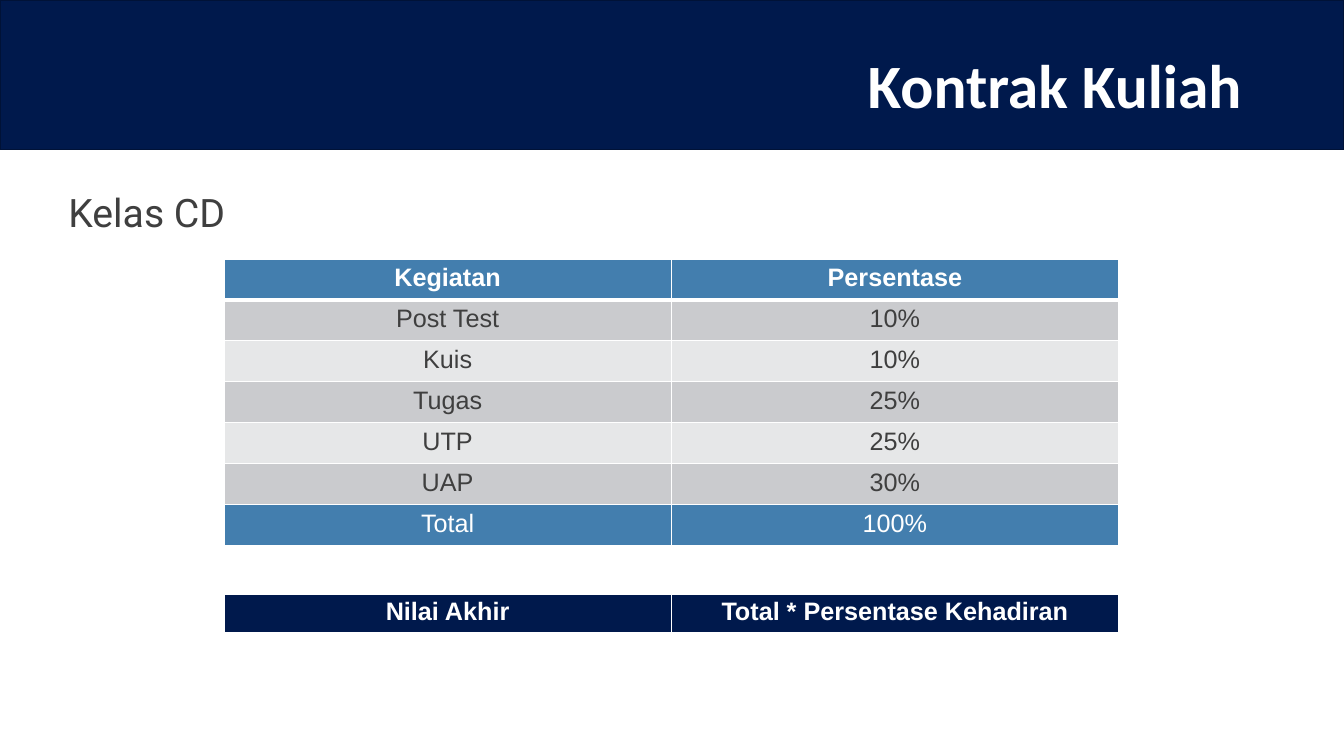
from dataclasses import dataclass

from lxml.etree import SubElement
from pptx import Presentation
from pptx.dml.color import RGBColor
from pptx.enum.shapes import MSO_SHAPE
from pptx.enum.text import MSO_ANCHOR, PP_ALIGN
from pptx.oxml.ns import qn
from pptx.slide import Slide
from pptx.table import _Cell
from pptx.text.text import _Paragraph
from pptx.util import Pt

NAVY = RGBColor(0x00, 0x19, 0x4C)
NAVY_EDGE = RGBColor(0x00, 0x12, 0x37)
BLUE = RGBColor(0x43, 0x7E, 0xAE)
DARK_BAND = RGBColor(0xCA, 0xCB, 0xCE)
LIGHT_BAND = RGBColor(0xE6, 0xE7, 0xE8)
WHITE = RGBColor(0xFF, 0xFF, 0xFF)
INK = RGBColor(0x3F, 0x3F, 0x3F)

SLIDE_WIDTH, SLIDE_HEIGHT = 960, 540
TABLE_LEFT, COLUMN_WIDTH, ROW_HEIGHT = 160, 319.5, 29.2


@dataclass(frozen=True)
class TextStyle:
    font: str
    size: float
    color: RGBColor
    bold: bool = False


@dataclass(frozen=True)
class Label:
    text: str
    left: float
    top: float
    width: float
    height: float
    style: TextStyle
    align: PP_ALIGN = PP_ALIGN.LEFT
    anchor: MSO_ANCHOR = MSO_ANCHOR.TOP
    bottom_inset: float = 3.6


@dataclass(frozen=True)
class Row:
    activity: str
    share: str
    fill: RGBColor
    style: TextStyle
    top_border: float = 1
    bottom_border: float = 1


HEADING = TextStyle("Arial", 18, WHITE, bold=True)
BODY = TextStyle("Arial", 18, INK)
TOTAL = TextStyle("Arial", 18, WHITE)

LABELS = [
    Label("Kontrak Kuliah", 41, 16.5, 853.2, 90.5, TextStyle("Calibri", 44, WHITE, bold=True),
          PP_ALIGN.RIGHT, MSO_ANCHOR.MIDDLE, bottom_inset=0),
    Label("Kelas CD", 41.8, 134.6, 532, 65.5, TextStyle("Roboto", 28, INK)),
]

ACTIVITIES = [("Post Test", "10%"), ("Kuis", "10%"), ("Tugas", "25%"),
              ("UTP", "25%"), ("UAP", "30%")]

GRADING = [
    Row("Kegiatan", "Persentase", BLUE, HEADING, bottom_border=3),
    *(Row(activity, share, LIGHT_BAND if i % 2 else DARK_BAND, BODY,
          top_border=1 if i else 3)
      for i, (activity, share) in enumerate(ACTIVITIES)),
    Row("Total", "100%", BLUE, TOTAL),
]
FINAL_GRADE = [Row("Nilai Akhir", "Total * Persentase Kehadiran", NAVY, HEADING, 3, 3)]


def add_styled_run(paragraph: _Paragraph, text: str, style: TextStyle) -> None:
    run = paragraph.add_run()
    run.text = text
    run.font.name = style.font
    run.font.size = Pt(style.size)
    run.font.bold = style.bold
    run.font.color.rgb = style.color


def add_label(slide: Slide, label: Label) -> None:
    box = slide.shapes.add_textbox(Pt(label.left), Pt(label.top), Pt(label.width), Pt(label.height))
    frame = box.text_frame
    frame.word_wrap = True
    frame.vertical_anchor = label.anchor
    frame.margin_bottom = Pt(label.bottom_inset)
    paragraph = frame.paragraphs[0]
    paragraph.alignment = label.align
    paragraph.line_spacing = 0.9
    add_styled_run(paragraph, label.text, label.style)


def add_borders(cell: _Cell, top: float, bottom: float) -> None:
    properties = cell._tc.get_or_add_tcPr()
    for side, width in (("L", 1), ("R", 1), ("T", top), ("B", bottom)):
        line = SubElement(properties, qn(f"a:ln{side}"), w=str(Pt(width)))
        SubElement(SubElement(line, qn("a:solidFill")), qn("a:srgbClr"), val=str(WHITE))


def add_grade_table(slide: Slide, rows: list[Row], top: float) -> None:
    table = slide.shapes.add_table(len(rows), 2, Pt(TABLE_LEFT), Pt(top),
                                   Pt(2 * COLUMN_WIDTH), Pt(ROW_HEIGHT * len(rows))).table
    for column in table.columns:
        column.width = Pt(COLUMN_WIDTH)
    for row_index, row in enumerate(rows):
        table.rows[row_index].height = Pt(ROW_HEIGHT)
        for column_index, text in enumerate((row.activity, row.share)):
            cell = table.cell(row_index, column_index)
            # Borders come before the fill in the cell properties
            add_borders(cell, row.top_border, row.bottom_border)
            cell.fill.solid()
            cell.fill.fore_color.rgb = row.fill
            paragraph = cell.text_frame.paragraphs[0]
            paragraph.alignment = PP_ALIGN.CENTER
            add_styled_run(paragraph, text, row.style)


def add_title_band(slide: Slide) -> None:
    band = slide.shapes.add_shape(MSO_SHAPE.RECTANGLE, 0, 0, Pt(SLIDE_WIDTH), Pt(106.6))
    band.shadow.inherit = False
    band.fill.solid()
    band.fill.fore_color.rgb = NAVY
    band.line.color.rgb = NAVY_EDGE
    band.line.width = Pt(1)


def main() -> None:
    presentation = Presentation()
    presentation.slide_width = Pt(SLIDE_WIDTH)
    presentation.slide_height = Pt(SLIDE_HEIGHT)
    slide = presentation.slides.add_slide(presentation.slide_layouts[6])

    # Title band and headings
    add_title_band(slide)
    for label in LABELS:
        add_label(slide, label)

    # Grading weights and final grade
    add_grade_table(slide, GRADING, top=185)
    add_grade_table(slide, FINAL_GRADE, top=423.4)

    presentation.save("out.pptx")


if __name__ == "__main__":
    main()
